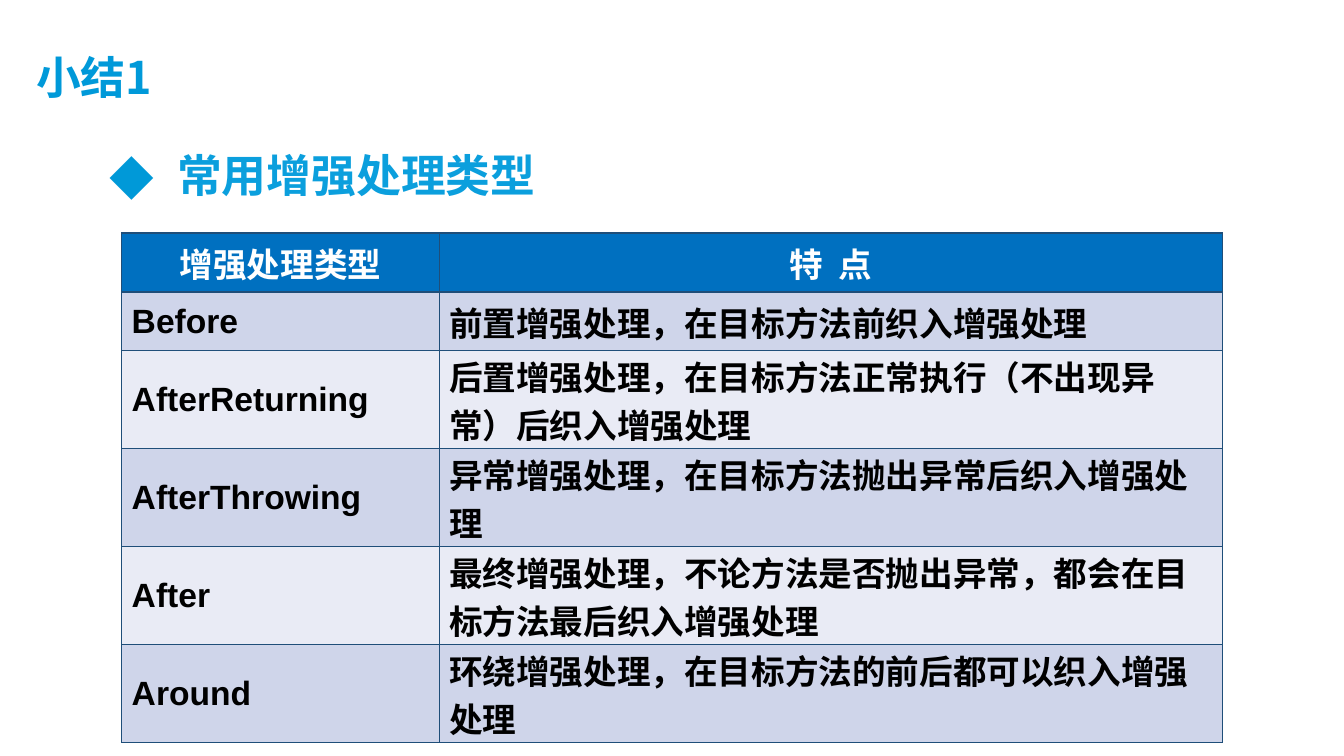
from lxml import etree
from pptx import Presentation
from pptx import util as u
from pptx.dml.color import RGBColor
from pptx.enum import text
from pptx.oxml import ns

TITLE_BLUE = RGBColor(0x00, 0x99, 0xD9)
BULLET_BLUE = RGBColor(0x00, 0x99, 0xD8)
HEADING_BLUE = RGBColor(0x0B, 0x9F, 0xDD)
HEADER_BLUE = RGBColor(0x00, 0x70, 0xC0)
BORDER_BLUE = RGBColor(0x1F, 0x4E, 0x79)
BAND_DARK = RGBColor(0xCF, 0xD5, 0xEA)
BAND_LIGHT = RGBColor(0xE9, 0xEB, 0xF5)
WHITE = RGBColor(0xFF, 0xFF, 0xFF)
BLACK = RGBColor(0x00, 0x00, 0x00)

CHINESE_FONT = "Noto Sans CJK SC"
LATIN_FONT = "Arial"

TITLE_BOX = (u.Cm(0.91), u.Cm(0.76), u.Cm(30.33), u.Cm(2.62))
BODY_BOX = (u.Cm(2.51), u.Cm(3.76), u.Cm(28.75), u.Cm(12.57))
TABLE_BOX = (u.Cm(3.07), u.Cm(5.87), u.Cm(27.74), u.Cm(12.84))
TYPE_WIDTH = u.Cm(8)
SINGLE_ROW = u.Cm(1.48)

HEADERS = ("增强处理类型", "特  点")
ADVICE_TYPES = (
    ("Before", "前置增强处理，在目标方法前织入增强处理"),
    ("AfterReturning", "后置增强处理，在目标方法正常执行（不出现异常）后织入增强处理"),
    ("AfterThrowing", "异常增强处理，在目标方法抛出异常后织入增强处理"),
    ("After", "最终增强处理，不论方法是否抛出异常，都会在目标方法最后织入增强处理"),
    ("Around", "环绕增强处理，在目标方法的前后都可以织入增强处理"),
)


def add_element(parent, tag, **attributes):
    element = etree.SubElement(parent, ns.qn(tag))
    for name, value in attributes.items():
        element.set(name, str(value))
    return element


def add_run(paragraph, words, size, color, font_name):
    run = paragraph.add_run()
    run.text = words
    run.font.size = u.Pt(size)
    run.font.bold = True
    run.font.color.rgb = color
    run.font.name = font_name
    add_element(run.font._element, "a:ea", typeface=CHINESE_FONT)


def place(shape, box):
    shape.left, shape.top, shape.width, shape.height = box
    shape.text_frame.word_wrap = True
    shape.text_frame.auto_size = text.MSO_AUTO_SIZE.NONE


def fill_title(shape, box):
    place(shape, box)
    frame = shape.text_frame
    frame.margin_left = frame.margin_top = 0
    frame.margin_right, frame.margin_bottom = u.Cm(0.25), u.Cm(0.13)
    frame.vertical_anchor = text.MSO_ANCHOR.MIDDLE
    paragraph = frame.paragraphs[0]
    paragraph.alignment = text.PP_ALIGN.LEFT
    paragraph.line_spacing = 0.9
    add_run(paragraph, "小结1", 32, TITLE_BLUE, CHINESE_FONT)


def fill_body(shape, box):
    place(shape, box)
    paragraph = shape.text_frame.paragraphs[0]
    paragraph.line_spacing = 0.9
    paragraph.space_before = u.Pt(0)
    properties = paragraph._p.get_or_add_pPr()
    properties.set("marL", str(u.Cm(1.7)))
    properties.set("indent", str(-u.Cm(1.7)))
    bullet_color = add_element(properties, "a:buClr")
    add_element(bullet_color, "a:srgbClr", val=BULLET_BLUE)
    add_element(properties, "a:buFont", typeface=CHINESE_FONT)
    add_element(properties, "a:buChar", char="◆")
    add_run(paragraph, "常用增强处理类型", 32, HEADING_BLUE, CHINESE_FONT)


def add_borders(cell):
    properties = cell._tc.get_or_add_tcPr()
    for side in ("a:lnL", "a:lnR", "a:lnT", "a:lnB"):
        line = add_element(properties, side, w=u.Pt(1))
        add_element(add_element(line, "a:solidFill"), "a:srgbClr", val=BORDER_BLUE)


def fill_cell(cell, words, is_header, fill_color):
    add_borders(cell)
    cell.fill.solid()
    cell.fill.fore_color.rgb = fill_color
    cell.margin_left = cell.margin_right = u.Cm(0.33 if is_header else 0.25)
    cell.margin_top = cell.margin_bottom = u.Cm(0.13 if is_header else 0)
    cell.vertical_anchor = text.MSO_ANCHOR.TOP if is_header else text.MSO_ANCHOR.MIDDLE
    paragraph = cell.text_frame.paragraphs[0]
    paragraph.alignment = text.PP_ALIGN.CENTER if is_header else text.PP_ALIGN.LEFT
    add_run(paragraph, words, 24, WHITE if is_header else BLACK, LATIN_FONT)


def add_advice_table(slide, box):
    rows = (HEADERS,) + ADVICE_TYPES
    width, height = box[2:]
    table = slide.shapes.add_table(len(rows), len(HEADERS), *box).table
    table.columns[0].width = TYPE_WIDTH
    table.columns[1].width = width - TYPE_WIDTH
    double_row = (height - 2 * SINGLE_ROW) // (len(rows) - 2)
    for row_index, row in enumerate(rows):
        table.rows[row_index].height = SINGLE_ROW if row_index < 2 else double_row
        is_header = row_index == 0
        band = BAND_DARK if row_index % 2 else BAND_LIGHT
        for column_index, words in enumerate(row):
            cell = table.cell(row_index, column_index)
            fill_cell(cell, words, is_header, HEADER_BLUE if is_header else band)


def main():
    presentation = Presentation()
    presentation.slide_width = u.Cm(33.87)
    presentation.slide_height = u.Cm(19.05)
    slide = presentation.slides.add_slide(presentation.slide_layouts[1])
    fill_title(slide.shapes.title, TITLE_BOX)
    fill_body(slide.placeholders[1], BODY_BOX)
    add_advice_table(slide, TABLE_BOX)
    presentation.save("out.pptx")


if __name__ == "__main__":
    main()
